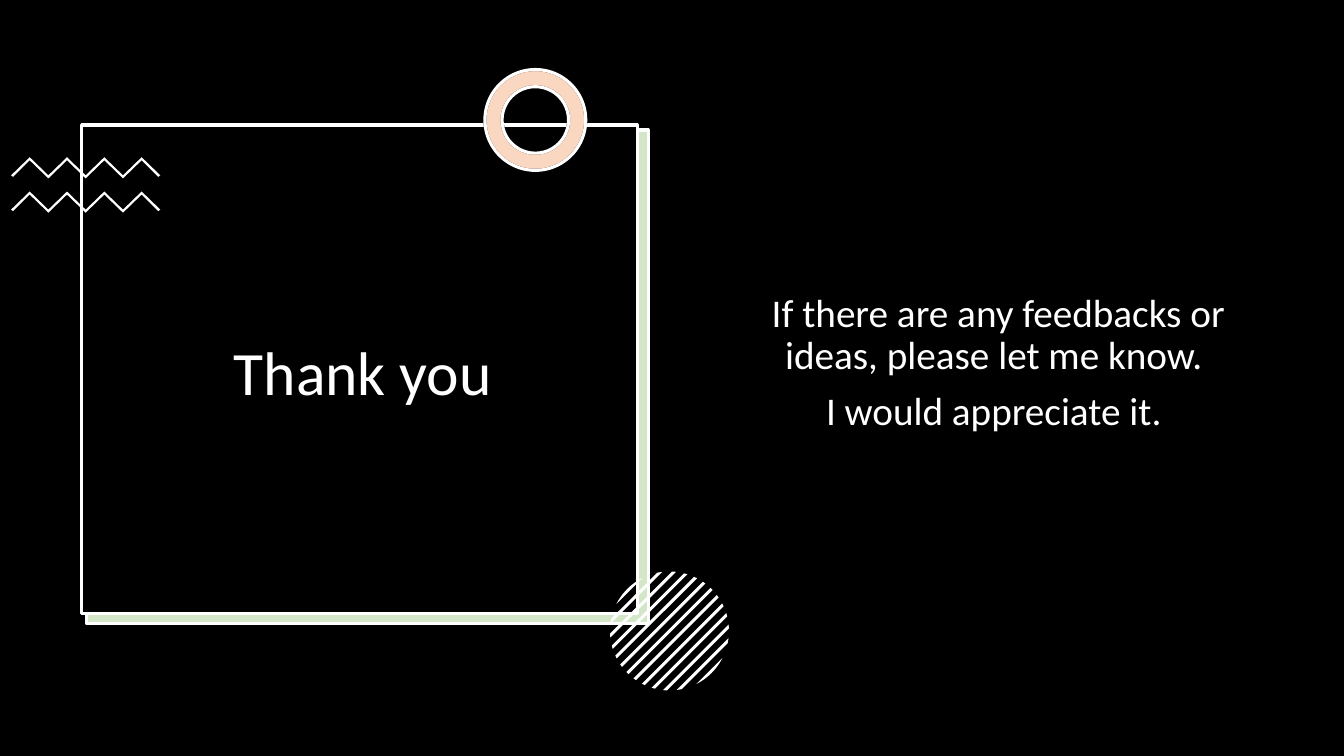
from math import acos, cos, pi, sin

from lxml.etree import SubElement
from pptx import Presentation
from pptx.dml.color import RGBColor
from pptx.enum.shapes import MSO_SHAPE
from pptx.enum.text import MSO_ANCHOR, PP_ALIGN
from pptx.oxml.ns import qn
from pptx.util import Inches, Pt

COLORS = {"black": "000000", "white": "FFFFFF", "green": "70AD47", "orange": "ED7D31"}
FONT = "Calibri"


def paint(s, fill, line=None, alpha=None):
    """Set the fill, its opacity in percent and the outline of a shape."""
    s.shadow.inherit = False
    s.fill.solid()
    s.fill.fore_color.rgb = RGBColor.from_string(COLORS[fill])
    if alpha:
        color = s.fill._xPr.find(qn("a:solidFill"))[0]
        SubElement(color, qn("a:alpha"), val=str(alpha * 1000))
    if line:
        s.line.color.rgb = RGBColor.from_string(COLORS[line])
        s.line.width = Pt(2.25)
    else:
        s.line.fill.background()


def add_preset(shapes, kind, box, fill, line=None, alpha=None):
    """Add a painted preset shape in a box given in inches."""
    s = shapes.add_shape(kind, *map(Inches, box))
    paint(s, fill, line, alpha)
    return s


def add_outline(shapes, points):
    """Add a white polygon through points given in inches."""
    start, *rest = [(Inches(x), Inches(y)) for x, y in points]
    builder = shapes.build_freeform(*start, scale=1.0)
    builder.add_line_segments(rest, close=True)
    paint(builder.convert_to_shape(), "white")


def add_text(shapes, box, lines, size, anchor=MSO_ANCHOR.TOP, before=0):
    """Add centred white paragraphs in a box given in inches."""
    tf = shapes.add_textbox(*map(Inches, box)).text_frame
    tf.word_wrap = True
    tf.vertical_anchor = anchor
    for i, line in enumerate(lines):
        p = tf.paragraphs[0] if i == 0 else tf.add_paragraph()
        p.text = line
        p.alignment = PP_ALIGN.CENTER
        p.line_spacing = 0.9
        p.space_before = Pt(before)
        p.font.name = FONT
        p.font.size = Pt(size)
        p.font.color.rgb = RGBColor.from_string(COLORS["white"])


def add_frame(shapes, x, y, w, h):
    """Draw the black panel over its offset green backing."""
    rect = MSO_SHAPE.RECTANGLE
    add_preset(shapes, rect, (x + 0.04, y + 0.06, w + 0.06, h + 0.05), "white")
    add_preset(shapes, rect, (x + 0.05, y + 0.05, w + 0.06, h + 0.05), "green", "white", 30)
    add_preset(shapes, rect, (x, y, w, h), "black", "white")


def add_zigzags(shapes, x, y, w, h, rows=2, gap=0.34, steps=8):
    """Draw rows of thin zigzag bands, each w by h."""
    group = shapes.add_group_shape().shapes
    depth, inset = 0.03, 0.02
    for row in range(rows):
        top = y + row * gap
        upper = [(x + w * i / steps, top + (0 if i % 2 else h - depth))
                 for i in range(steps + 1)]
        inner = [(px, py + depth) for px, py in upper[1:-1]]
        end = top + h - depth / 2
        lower = [(x + inset, end), *inner, (x + w - inset, end)]
        add_outline(group, upper + lower[::-1])


def add_ring(shapes, x, y, size):
    """Draw the peach ring as a tint over a white base."""
    for fill, line, alpha in (("white", "black", None), ("orange", "white", 30)):
        s = add_preset(shapes, MSO_SHAPE.DONUT, (x, y, size, size), fill, line, alpha)
        s.adjustments[0] = 0.17


def add_striped_disc(shapes, x, y, size, stripes=13, pitch=0.096, width=0.03, steps=6):
    """Draw diagonal stripes clipped to a circle."""
    group = shapes.add_group_shape().shapes
    radius = size / 2
    for i in range(stripes):
        offset = (i - stripes // 2) * pitch
        near, far = [acos(max(-1, min(1, (offset + d) / radius)))
                     for d in (-width / 2, width / 2)]
        arc = [near + (far - near) * k / steps for k in range(steps + 1)]
        angles = [pi / 4 + a for a in arc] + [pi / 4 - a for a in arc[::-1]]
        add_outline(group, [(x + radius * (1 + cos(a)), y + radius * (1 + sin(a)))
                            for a in angles])


def add_closing_slide(prs):
    """Build the thank-you slide."""
    shapes = prs.slides.add_slide(prs.slide_layouts[6]).shapes
    add_preset(shapes, MSO_SHAPE.RECTANGLE, (0, 0, 13.33, 7.5), "black")
    add_frame(shapes, 0.81, 1.24, 5.51, 4.85)
    add_zigzags(shapes, 0.11, 1.56, 1.48, 0.21)
    add_ring(shapes, 4.81, 0.69, 1)
    add_striped_disc(shapes, 6.05, 5.67, 1.18)
    add_text(shapes, (0.92, 1.52, 5.36, 4.42), ["Thank you"], 44, MSO_ANCHOR.MIDDLE)
    add_text(shapes, (7.18, 2.86, 5.44, 1.6),
             ["If there are any feedbacks or ideas, please let me know. ",
              "I would appreciate it. "], 28, before=10)


def main():
    """Create and save the presentation."""
    prs = Presentation()
    prs.slide_width, prs.slide_height = Inches(13.33), Inches(7.5)
    add_closing_slide(prs)
    prs.save("out.pptx")


if __name__ == "__main__":
    main()
